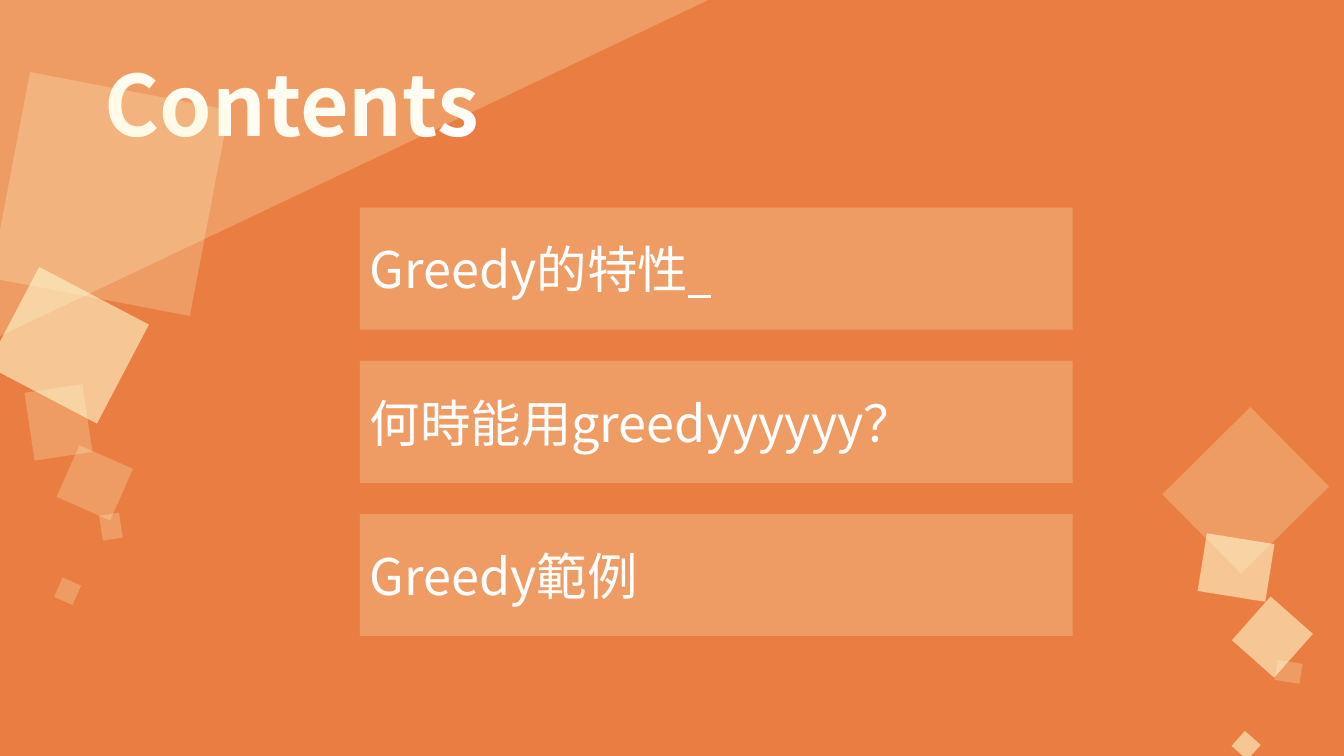
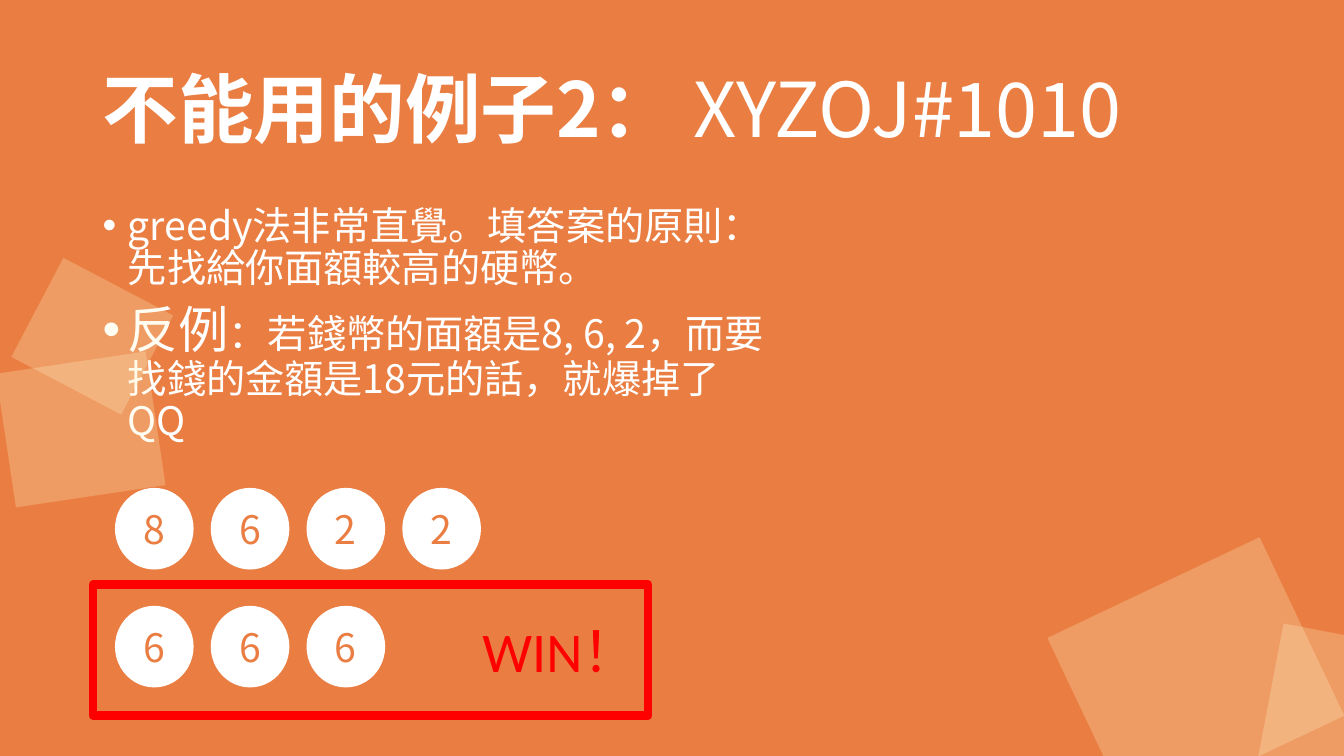
"""Build two slides of a lesson on greedy algorithms."""
import dataclasses

import lxml.etree
import pptx
import pptx.dml.color
import pptx.enum.shapes
import pptx.enum.text
import pptx.oxml.ns
import pptx.util

SHAPE = pptx.enum.shapes.MSO_SHAPE
ALIGN = pptx.enum.text.PP_ALIGN
ANCHOR = pptx.enum.text.MSO_ANCHOR
Inches = pptx.util.Inches
Pt = pptx.util.Pt
qn = pptx.oxml.ns.qn


@dataclasses.dataclass(frozen=True)
class Theme:
    orange: str = "EA7E42"
    cream: str = "FFF9CD"
    white: str = "FFFFFF"
    red: str = "FF0000"
    font: str = "Noto Sans CJK SC"
    accent_font: str = "Calibri"
    contents_title: int = 60
    title: int = 54
    win: int = 40
    large: int = 36
    body: int = 28
    faint: int = 25
    strong: int = 60
    frame_line: int = 6
    tight: float = 0.9
    bullet_gap: int = 10
    bullet_indent: float = 0.25


THEME = Theme()
SLIDE_SIZE = (13.33, 7.5)

CONTENTS_TITLE = [("Contents", {"bold": True})]
CONTENTS_ITEMS = [
    [("Greedy的特性", {}), ("  ", {"underline": True})],
    [("何時能用greedyyyyyy？", {})],
    [("Greedy範例", {})],
]
CONTENTS_SQUARES = [
    ((0.29, 3.85, 0.58, 0.68), 171.5, THEME.faint),
    ((0.06, 2.87, 1.23, 1.11), 207.7, THEME.strong),
    ((1.26, -3.67, 3.1, 7.91), 64.6, THEME.faint),
    ((0.05, 0.92, 2.08, 2.01), 100.8, THEME.faint),
    ((0.65, 4.51, 0.58, 0.56), 203.9, THEME.faint),
    ((1, 5.1, 0.2, 0.25), 171.5, THEME.faint),
    ((0.57, 5.76, 0.2, 0.21), 203.9, THEME.faint),
    ((11.97, 5.29, 0.58, 0.68), 279.1, THEME.strong),
    ((11.74, 4.31, 1.23, 1.11), 315.3, THEME.faint),
    ((12.33, 6.04, 0.58, 0.56), 311.5, THEME.strong),
    ((12.68, 6.54, 0.2, 0.25), 279.1, THEME.faint),
    ((12.26, 7.29, 0.2, 0.21), 311.5, THEME.strong),
]

EXAMPLE_TITLE = [("不能用的例子2：", {"bold": True}), (" XYZOJ#1010", {})]
EXAMPLE_BULLETS = [
    [("greedy法非常直覺。填答案的原則：先找給你面額較高的硬幣。", {})],
    [
        ("反例", {"size": THEME.large}),
        ("：若錢幣的面額是8, 6, 2，而要找錢的金額是18元的話，就爆掉了QQ", {}),
    ],
]
EXAMPLE_SQUARES = [
    ((0.05, 3.59, 1.5, 1.34), 171.5, THEME.faint),
    ((0.3, 2.78, 1.23, 1.11), 207.7, THEME.faint),
    ((10.88, 5.55, 1.96, 2.33), 64.6, THEME.faint),
    ((12.64, 6.26, 1.41, 1.52), 100.8, THEME.faint),
]
COIN_ROWS = ["8622", "666"]
WIN_TEXT = [("WIN！", {})]

CARD_GRID = {"left": 3.57, "top": 2.06, "width": 7.07, "height": 1.21, "gap": 0.31}
COIN_GRID = {"left": 1.14, "top": 4.84, "width": 0.78, "height": 0.81,
             "column_gap": 0.17, "row_gap": 0.36}


def color(value):
    return pptx.dml.color.RGBColor.from_string(value)


def add_runs(paragraph, runs, size, ink=THEME.white, font=THEME.font):
    for text, style in runs:
        run = paragraph.add_run()
        run.text = text
        run.font.name = font
        run.font.size = Pt(style.get("size", size))
        run.font.bold = style.get("bold", False)
        run.font.underline = style.get("underline", False)
        run.font.color.rgb = color(ink)
        east_asian = lxml.etree.SubElement(run.font._element, qn("a:ea"))
        east_asian.set("typeface", font)


def add_shape(slide, preset, box, fill=None, opacity=100, line=None):
    shape = slide.shapes.add_shape(preset, *map(Inches, box))
    shape.shadow.inherit = False
    if fill:
        shape.fill.solid()
        shape.fill.fore_color.rgb = color(fill)
        tint = shape.fill._xPr.find(".//" + qn("a:srgbClr"))
        if opacity < 100:
            lxml.etree.SubElement(tint, qn("a:alpha")).set("val", str(opacity * 1000))
    else:
        shape.fill.background()
    if line:
        shape.line.color.rgb = color(line)
        shape.line.width = Pt(THEME.frame_line)
    else:
        shape.line.fill.background()
    return shape


def label(shape, runs, size, align, ink=THEME.white, font=THEME.font):
    shape.text_frame.vertical_anchor = ANCHOR.MIDDLE
    paragraph = shape.text_frame.paragraphs[0]
    paragraph.alignment = align
    add_runs(paragraph, runs, size, ink, font)


def add_textbox(slide, box, anchor):
    frame = slide.shapes.add_textbox(*map(Inches, box)).text_frame
    frame.word_wrap = True
    frame.vertical_anchor = anchor
    return frame


def add_title(slide, box, runs, size):
    paragraph = add_textbox(slide, box, ANCHOR.MIDDLE).paragraphs[0]
    paragraph.line_spacing = THEME.tight
    add_runs(paragraph, runs, size)


def add_bullets(slide, box, items):
    frame = add_textbox(slide, box, ANCHOR.TOP)
    for index, runs in enumerate(items):
        paragraph = frame.add_paragraph() if index else frame.paragraphs[0]
        paragraph.line_spacing = THEME.tight
        paragraph.space_before = Pt(THEME.bullet_gap)
        properties = paragraph._p.get_or_add_pPr()
        indent = Inches(THEME.bullet_indent)
        properties.set("marL", str(indent))
        properties.set("indent", str(-indent))
        lxml.etree.SubElement(properties, qn("a:buFont")).set("typeface", "Arial")
        lxml.etree.SubElement(properties, qn("a:buChar")).set("char", "•")
        add_runs(paragraph, runs, THEME.body)


def add_squares(slide, squares):
    for box, rotation, opacity in squares:
        square = add_shape(slide, SHAPE.RECTANGLE, box, THEME.cream, opacity)
        square.rotation = rotation


def add_slide(presentation):
    slide = presentation.slides.add_slide(presentation.slide_layouts[6])
    slide.background.fill.solid()
    slide.background.fill.fore_color.rgb = color(THEME.orange)
    return slide


def build_contents(presentation):
    slide = add_slide(presentation)
    add_title(slide, (0.94, 0.36, 4.84, 1.45), CONTENTS_TITLE, THEME.contents_title)
    add_squares(slide, CONTENTS_SQUARES)
    grid = CARD_GRID
    for row, runs in enumerate(CONTENTS_ITEMS):
        top = grid["top"] + row * (grid["height"] + grid["gap"])
        box = (grid["left"], top, grid["width"], grid["height"])
        card = add_shape(slide, SHAPE.RECTANGLE, box, THEME.cream, THEME.faint)
        label(card, runs, THEME.large, ALIGN.LEFT)


def build_example(presentation):
    slide = add_slide(presentation)
    add_bullets(slide, (0.92, 2, 6.88, 4.76), EXAMPLE_BULLETS)
    add_title(slide, (0.92, 0.4, 11.5, 1.45), EXAMPLE_TITLE, THEME.title)
    add_squares(slide, EXAMPLE_SQUARES)
    grid = COIN_GRID
    for row, coins in enumerate(COIN_ROWS):
        top = grid["top"] + row * (grid["height"] + grid["row_gap"])
        for column, value in enumerate(coins):
            left = grid["left"] + column * (grid["width"] + grid["column_gap"])
            box = (left, top, grid["width"], grid["height"])
            coin = add_shape(slide, SHAPE.OVAL, box, THEME.white)
            label(coin, [(value, {})], THEME.body, ALIGN.CENTER, THEME.orange)
    frame = add_shape(slide, SHAPE.RECTANGLE, (0.92, 5.8, 5.51, 1.3), line=THEME.red)
    label(frame, WIN_TEXT, THEME.win, ALIGN.RIGHT, THEME.red, THEME.accent_font)


def main():
    presentation = pptx.Presentation()
    presentation.slide_width, presentation.slide_height = map(Inches, SLIDE_SIZE)
    build_contents(presentation)
    build_example(presentation)
    presentation.save("out.pptx")


if __name__ == "__main__":
    main()
